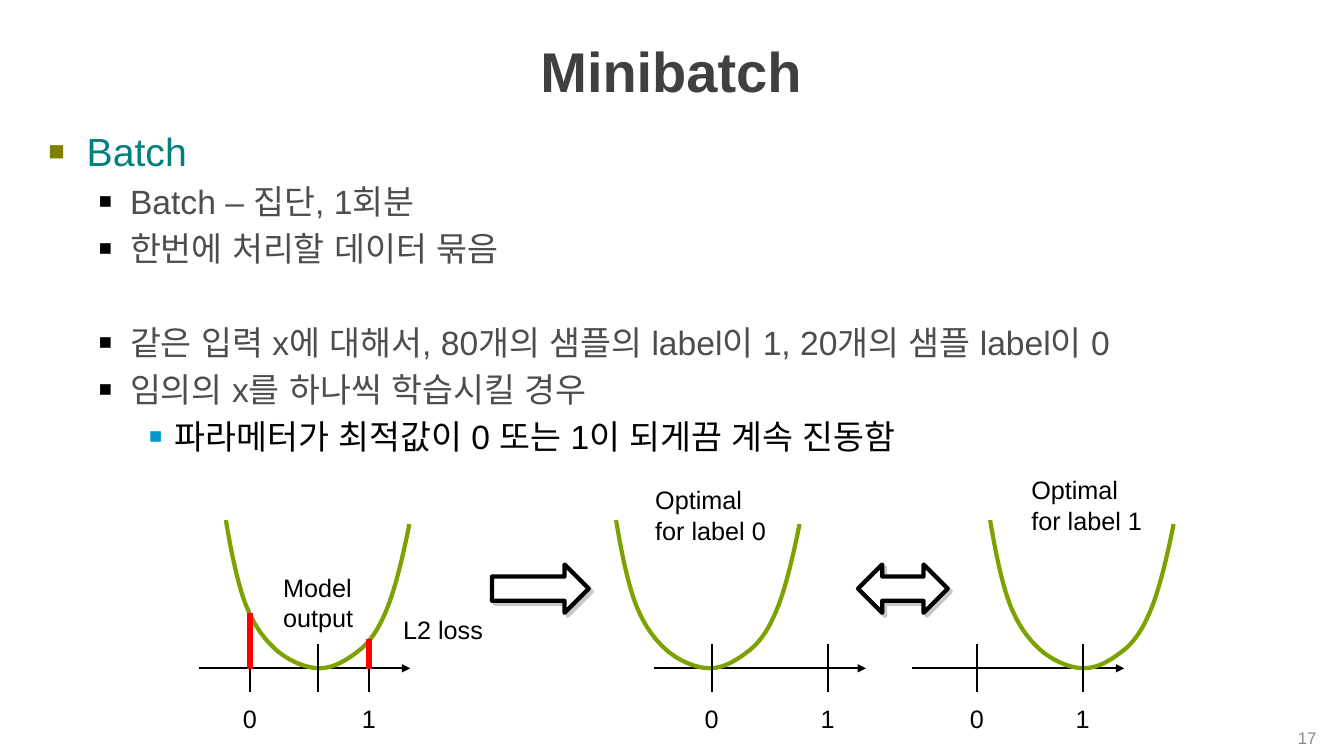
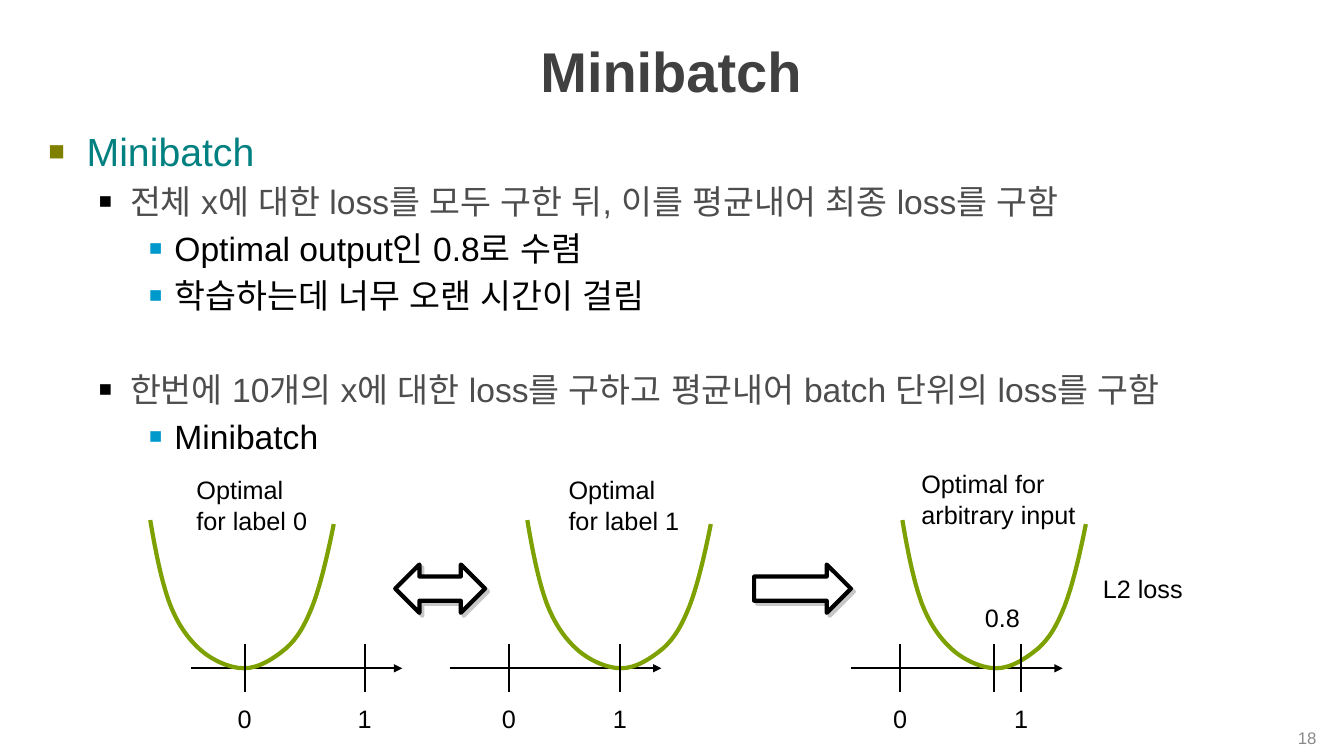
import pptx
import pptx.dml.color
import pptx.enum.shapes
import pptx.enum.text
import pptx.oxml
import pptx.oxml.ns
import pptx.util
from lxml import etree

Inches = pptx.util.Inches
Pt = pptx.util.Pt
SHAPE = pptx.enum.shapes.MSO_SHAPE
ALIGN = pptx.enum.text.PP_ALIGN
ANCHOR = pptx.enum.text.MSO_ANCHOR

COLOURS = {
    "title": "404040",
    "heading": "008080",
    "point": "4D4D4D",
    "ink": "000000",
    "olive": "808000",
    "blue": "0099CC",
    "number": "898989",
    "curve": "7DA100",
    "loss": "FF0000",
    "paper": "FFFFFF",
    "shadow": "808080",
}
FONT = "Arial"

# For each list level: indent, hanging, size, text colour, bullet colour, bullet percent
LEVELS = [
    (0.38, 0.38, 28, "heading", "olive", 70),
    (0.81, 0.31, 24, "point", "ink", 65),
    (1.25, 0.25, 24, "ink", "blue", 65),
]
SPACE_SHARE = 0.2
GROUP_GAP = 33.6

AXIS_Y = 6.63
AXIS_LENGTH = 2.1
TICK_HALF = 0.24
CURVE_TOP = 5.16
# Two control points and the end of each piece, measured from the curve's corner
CURVE_BEZIERS = [
    ((0.05, 0.30), (0.11, 0.60), (0.19, 0.82)),
    ((0.27, 1.03), (0.37, 1.17), (0.49, 1.28)),
    ((0.61, 1.39), (0.79, 1.47), (0.93, 1.47)),
    ((1.08, 1.47), (1.23, 1.37), (1.35, 1.27)),
    ((1.46, 1.17), (1.53, 1.05), (1.61, 0.85)),
    ((1.69, 0.64), (1.76, 0.34), (1.82, 0.04)),
]


def colour(name):
    return pptx.dml.color.RGBColor.from_string(COLOURS[name])


def add_element(parent, tag, **attributes):
    return etree.SubElement(parent, pptx.oxml.ns.qn(tag), attributes)


class Lecture:
    def __init__(self):
        self.deck = pptx.Presentation()
        self.deck.slide_width = Inches(13.33)
        self.deck.slide_height = Inches(7.5)
        self.page = None

    def add_page(self, title, points, number):
        self.page = self.deck.slides.add_slide(self.deck.slide_layouts[1])
        self.title(title)
        self.points(points)
        self.label(str(number), 12.65, 7.21, 0.63, 0.26, size=12, ink="number",
                   align=ALIGN.CENTER, anchor=ANCHOR.BOTTOM)

    def style_runs(self, paragraph, size, ink, bold=False):
        for span in paragraph.runs:
            span.font.size = Pt(size)
            span.font.bold = bold
            span.font.color.rgb = colour(ink)
            span.font.name = FONT
            add_element(span.font._element, "a:ea", typeface=FONT)

    def place(self, box, left, top, width, height):
        box.left, box.top = Inches(left), Inches(top)
        box.width, box.height = Inches(width), Inches(height)

    def title(self, text):
        box = self.page.shapes.title
        self.place(box, 0.37, 0.17, 12.57, 1.06)
        frame = box.text_frame
        frame.text = text
        frame.vertical_anchor = ANCHOR.MIDDLE
        frame.paragraphs[0].alignment = ALIGN.CENTER
        self.style_runs(frame.paragraphs[0], 40, "title", bold=True)

    def points(self, points):
        """Fill the body; each point is (level, text) or (level, text, True) to open a group."""
        box = self.page.placeholders[1]
        self.place(box, 0.38, 1.21, 12.56, 5.51)
        frame = box.text_frame
        frame.auto_size = pptx.enum.text.MSO_AUTO_SIZE.NONE
        frame.text = "\n".join(point[1] for point in points)
        for index, (paragraph, point) in enumerate(zip(frame.paragraphs, points)):
            level = point[0]
            size, ink = LEVELS[level][2:4]
            paragraph.level = level
            self.bullet(paragraph, level)
            gap = SPACE_SHARE * size if index else 0
            if len(point) > 2:
                gap += GROUP_GAP
            paragraph.space_before = Pt(gap)
            self.style_runs(paragraph, size, ink)

    def bullet(self, paragraph, level):
        indent, hanging, _, _, ink, percent = LEVELS[level]
        properties = paragraph._p.get_or_add_pPr()
        properties.set("marL", str(Inches(indent)))
        properties.set("indent", str(-Inches(hanging)))
        add_element(add_element(properties, "a:buClr"), "a:srgbClr", val=COLOURS[ink])
        add_element(properties, "a:buSzPct", val=str(percent * 1000))
        add_element(properties, "a:buFont", typeface=FONT)
        add_element(properties, "a:buChar", char="■")

    def label(self, text, left, top, width, height=0.4, size=18, ink="ink",
              align=ALIGN.LEFT, anchor=ANCHOR.TOP):
        box = self.page.shapes.add_textbox(
            Inches(left), Inches(top), Inches(width), Inches(height))
        frame = box.text_frame
        frame.word_wrap = True
        frame.vertical_anchor = anchor
        frame.text = text
        frame.paragraphs[0].alignment = align
        self.style_runs(frame.paragraphs[0], size, ink)

    def line(self, start, end, ink="ink", width=1.5, arrow=False):
        connector = self.page.shapes.add_connector(
            pptx.enum.shapes.MSO_CONNECTOR.STRAIGHT,
            *(Inches(value) for value in start + end))
        connector.line.color.rgb = colour(ink)
        connector.line.width = Pt(width)
        if arrow:
            add_element(connector.line._get_or_add_ln(), "a:tailEnd", type="triangle")
        add_element(connector._element.spPr, "a:effectLst")

    def curve(self, left):
        """Draw the parabola: outline its piece ends, then bend each segment."""
        builder = self.page.shapes.build_freeform(Inches(left), Inches(CURVE_TOP))
        builder.add_line_segments(
            [(Inches(left + x), Inches(CURVE_TOP + y)) for _, _, (x, y) in CURVE_BEZIERS],
            close=False)
        parabola = builder.convert_to_shape()
        segments = list(parabola._element.iter(pptx.oxml.ns.qn("a:lnTo")))
        for segment, piece in zip(segments, CURVE_BEZIERS):
            bend = etree.Element(pptx.oxml.ns.qn("a:cubicBezTo"))
            for x, y in piece:
                add_element(bend, "a:pt", x=str(Inches(x)), y=str(Inches(y)))
            segment.getparent().replace(segment, bend)
        parabola.shadow.inherit = False
        parabola.fill.background()
        parabola.line.color.rgb = colour("curve")
        parabola.line.width = Pt(3)

    def tick(self, x, text=None):
        self.line((x, AXIS_Y - TICK_HALF), (x, AXIS_Y + TICK_HALF))
        if text:
            self.label(text, x - 0.17, 6.93, 0.44)

    def plot(self, axis_left, curve_left, zero, one, optimum=None):
        """Draw an axis with ticks at 0 and 1, an optional optimum tick, and the loss curve."""
        self.line((axis_left, AXIS_Y), (axis_left + AXIS_LENGTH, AXIS_Y), arrow=True)
        self.curve(curve_left)
        self.tick(zero, "0")
        self.tick(one, "1")
        if optimum:
            self.tick(optimum)

    def loss_bar(self, x, top):
        self.line((x, AXIS_Y + 0.01), (x, top), ink="loss", width=4.5)

    def block_arrow(self, kind, left, width):
        arrow = self.page.shapes.add_shape(
            kind, Inches(left), Inches(5.6), Inches(width), Inches(0.48))
        arrow.fill.solid()
        arrow.fill.fore_color.rgb = colour("paper")
        arrow.line.color.rgb = colour("ink")
        arrow.line.width = Pt(3)
        arrow.shadow.inherit = False
        effects = arrow._element.spPr.find(pptx.oxml.ns.qn("a:effectLst"))
        shadow = add_element(effects, "a:outerShdw", dist=str(Pt(3)), dir="2700000",
                             algn="ctr", rotWithShape="0")
        tint = add_element(shadow, "a:srgbClr", val=COLOURS["shadow"])
        add_element(tint, "a:alpha", val="43000")

    def leads_to(self, left):
        self.block_arrow(SHAPE.RIGHT_ARROW, left, 0.96)

    def swings(self, left):
        self.block_arrow(SHAPE.LEFT_RIGHT_ARROW, left, 0.89)


def batch_page(lecture):
    lecture.add_page("Minibatch", [
        (0, "Batch"),
        (1, "Batch – 집단, 1회분"),
        (1, "한번에 처리할 데이터 묶음"),
        (1, "같은 입력 x에 대해서, 80개의 샘플의 label이 1, 20개의 샘플 label이 0", True),
        (1, "임의의 x를 하나씩 학습시킬 경우"),
        (2, "파라메터가 최적값이 0 또는 1이 되게끔 계속 진동함"),
    ], 17)
    lecture.plot(1.97, 2.24, zero=2.48, one=3.66, optimum=3.15)
    lecture.plot(6.49, 6.11, zero=7.06, one=8.21)
    lecture.plot(9.05, 9.82, zero=9.69, one=10.74)
    lecture.label("Model output", 2.71, 5.63, 1.02, 0.71)
    lecture.label("L2 loss", 3.9, 6.05, 1)
    lecture.label("Optimal for label 0", 6.4, 4.76, 1.32, 0.71)
    lecture.label("Optimal for label 1", 10.13, 4.66, 1.32, 0.71)
    lecture.leads_to(4.88)
    lecture.swings(8.51)
    lecture.loss_bar(2.48, 6.08)
    lecture.loss_bar(3.66, 6.34)


def minibatch_page(lecture):
    lecture.add_page("Minibatch", [
        (0, "Minibatch"),
        (1, "전체 x에 대한 loss를 모두 구한 뒤, 이를 평균내어 최종 loss를 구함"),
        (2, "Optimal output인 0.8로 수렴"),
        (2, "학습하는데 너무 오랜 시간이 걸림"),
        (1, "한번에 10개의 x에 대한 loss를 구하고 평균내어 batch 단위의 loss를 구함", True),
        (2, "Minibatch"),
    ], 18)
    lecture.plot(1.89, 1.49, zero=2.43, one=3.62)
    lecture.plot(4.46, 5.23, zero=5.05, one=6.15)
    lecture.plot(8.44, 8.95, zero=8.93, one=10.13, optimum=9.86)
    lecture.label("0.8", 9.67, 5.93, 0.67)
    lecture.label("Optimal for arbitrary input", 9.04, 4.6, 1.82, 0.71)
    lecture.label("L2 loss", 10.84, 5.64, 1)
    lecture.label("Optimal for label 0", 1.85, 4.66, 1.32, 0.71)
    lecture.label("Optimal for label 1", 5.54, 4.66, 1.32, 0.71)
    lecture.swings(3.92)
    lecture.leads_to(7.48)


def main():
    lecture = Lecture()
    batch_page(lecture)
    minibatch_page(lecture)
    lecture.deck.save("out.pptx")


if __name__ == "__main__":
    main()
